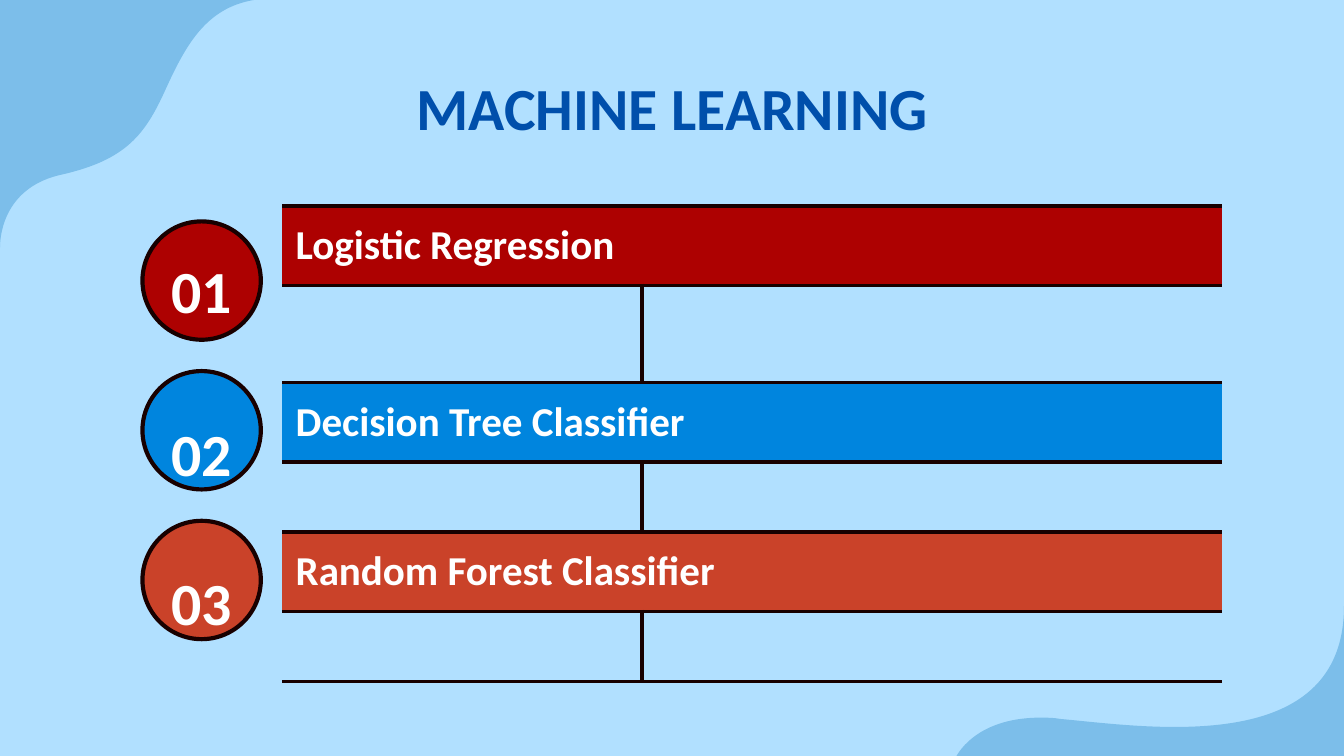
from lxml import etree
from pptx import Presentation
from pptx.dml.color import RGBColor
from pptx.enum.shapes import MSO_SHAPE
from pptx.enum.text import MSO_ANCHOR, PP_ALIGN
from pptx.oxml.ns import qn
from pptx.util import Pt

OVAL = MSO_SHAPE.OVAL
TOP, MIDDLE = MSO_ANCHOR.TOP, MSO_ANCHOR.MIDDLE
LEFT, CENTER = PP_ALIGN.LEFT, PP_ALIGN.CENTER

SKY = RGBColor(0xB1, 0xE0, 0xFF)
WAVE = RGBColor(0x7C, 0xBE, 0xEA)
NAVY = RGBColor(0x00, 0x4F, 0xAB)
WHITE = RGBColor(0xFF, 0xFF, 0xFF)
DARK = RGBColor(0x18, 0x00, 0x00)
RED = RGBColor(0xAD, 0x01, 0x01)
BLUE = RGBColor(0x00, 0x85, 0xDE)
RUST = RGBColor(0xCA, 0x42, 0x29)

# Content
TITLE = "MACHINE LEARNING"
MODELS = [
    ("01", "Logistic Regression", RED),
    ("02", "Decision Tree Classifier", BLUE),
    ("03", "Random Forest Classifier", RUST),
]

# Corner waves: start point, Bezier curves (two controls and an end), closing corner
WAVES = [
    ((0, 132.5), [(0, 124), (3.6, 100), (33, 93.6),
                  (67.7, 85.7), (77.8, 72), (88.6, 48.2),
                  (99.4, 24.5), (110.2, 4.3), (136.1, 0)], (0, 0)),
    ((720, 324.7), [(720, 378.7), (673.9, 389.5), (629.3, 389.5),
                    (606.2, 389.5), (583.9, 386.6), (568.1, 385.2),
                    (564.5, 384.5), (560.9, 384.5), (557.3, 384.5),
                    (521.3, 384.5), (511.9, 406), (511.9, 406)], (720, 406)),
]

# Layout
SLIDE_SIZE = (720, 405)
TITLE_BOX = (56.7, 30.6, 607, 46.8)
TABLE_LEFT, TABLE_TOP = 64.8, 110.3
COLUMNS = [86.4, 192.6, 311.1]
ROWS = [42.6, 51.6, 42.6, 37.5, 42.6, 37.5]
CIRCLE_LEFT, CIRCLE_TOP, CIRCLE_SIZE, CIRCLE_STEP = 76.3, 118.6, 63.4, 80.2
LINE_WIDTH = 2.25
UNITS_PER_POINT = 10


def write_text(frame, text, size, color=WHITE, align=LEFT):
    paragraph = frame.paragraphs[0]
    paragraph.alignment = align
    run = paragraph.add_run()
    run.text = text
    font = run.font
    font.name, font.size, font.bold = "Calibri", Pt(size), True
    font.color.rgb = color


def set_margins(target, top=7.2):
    target.margin_left = target.margin_right = target.margin_bottom = Pt(7.2)
    target.margin_top = Pt(top)


def add_wave(slide, start, curve_points, corner):
    first, *rest = [(x * UNITS_PER_POINT, y * UNITS_PER_POINT)
                    for x, y in [start, *curve_points, corner]]
    builder = slide.shapes.build_freeform(*first, scale=Pt(1) / UNITS_PER_POINT)
    builder.add_line_segments(rest, close=True)
    shape = builder.convert_to_shape()
    shape.shadow.inherit = False
    shape.fill.solid()
    shape.fill.fore_color.rgb = WAVE
    shape.line.fill.background()
    # Join each three points into one Bezier curve
    lines = list(shape._element.iter(qn("a:lnTo")))
    for index in range(0, len(curve_points), 3):
        curve, *others = lines[index:index + 3]
        curve.tag = qn("a:cubicBezTo")
        for line in others:
            curve.append(line[0])
            line.getparent().remove(line)


def style_cell(cell, sides="", color=None):
    properties = cell._tc.get_or_add_tcPr()
    for side in "LRTB":
        line = etree.SubElement(properties, qn("a:ln" + side), w=str(Pt(LINE_WIDTH)))
        if side in sides:
            fill = etree.SubElement(line, qn("a:solidFill"))
            etree.SubElement(fill, qn("a:srgbClr"), val=str(DARK))
        else:
            etree.SubElement(line, qn("a:noFill"))
    if color is None:
        cell.fill.background()
    else:
        cell.fill.solid()
        cell.fill.fore_color.rgb = color


presentation = Presentation()
presentation.slide_width, presentation.slide_height = map(Pt, SLIDE_SIZE)
slide = presentation.slides.add_slide(presentation.slide_layouts[5])
slide.background.fill.solid()
slide.background.fill.fore_color.rgb = SKY

# Corner waves
for wave in WAVES:
    add_wave(slide, *wave)

# Number circles
for index, (_, _, color) in enumerate(MODELS):
    circle = slide.shapes.add_shape(
        OVAL, Pt(CIRCLE_LEFT), Pt(CIRCLE_TOP + index * CIRCLE_STEP),
        Pt(CIRCLE_SIZE), Pt(CIRCLE_SIZE))
    circle.shadow.inherit = False
    circle.fill.solid()
    circle.fill.fore_color.rgb = color
    circle.line.color.rgb = DARK
    circle.line.width = Pt(LINE_WIDTH)

# Table of models: a coloured name row and an open row for each
table = slide.shapes.add_table(
    len(ROWS), len(COLUMNS), Pt(TABLE_LEFT), Pt(TABLE_TOP),
    Pt(sum(COLUMNS)), Pt(sum(ROWS))).table
table.first_row = table.horz_banding = False
for column, width in zip(table.columns, COLUMNS):
    column.width = Pt(width)
for row, height in zip(table.rows, ROWS):
    row.height = Pt(height)

for index, (number, name, color) in enumerate(MODELS):
    top = 2 * index
    number_cell, name_cell = table.cell(top, 0), table.cell(top, 1)
    number_cell.merge(table.cell(top + 1, 0))
    name_cell.merge(table.cell(top, 2))
    for cell in (number_cell, table.cell(top + 1, 0)):
        style_cell(cell)
    for cell in (name_cell, table.cell(top, 2)):
        style_cell(cell, "TB", color)
    style_cell(table.cell(top + 1, 1), "RTB")
    style_cell(table.cell(top + 1, 2), "LTB")
    for cell, text, size, align, margin in ((number_cell, number, 32, CENTER, 5.8),
                                            (name_cell, name, 22, LEFT, 7.2)):
        set_margins(cell, top=margin)
        cell.vertical_anchor = MIDDLE
        write_text(cell.text_frame, text, size, align=align)

# Title
title = slide.shapes.title
title.left, title.top, title.width, title.height = map(Pt, TITLE_BOX)
set_margins(title.text_frame)
title.text_frame.vertical_anchor = TOP
write_text(title.text_frame, TITLE, 32, color=NAVY, align=CENTER)

presentation.save("out.pptx")
